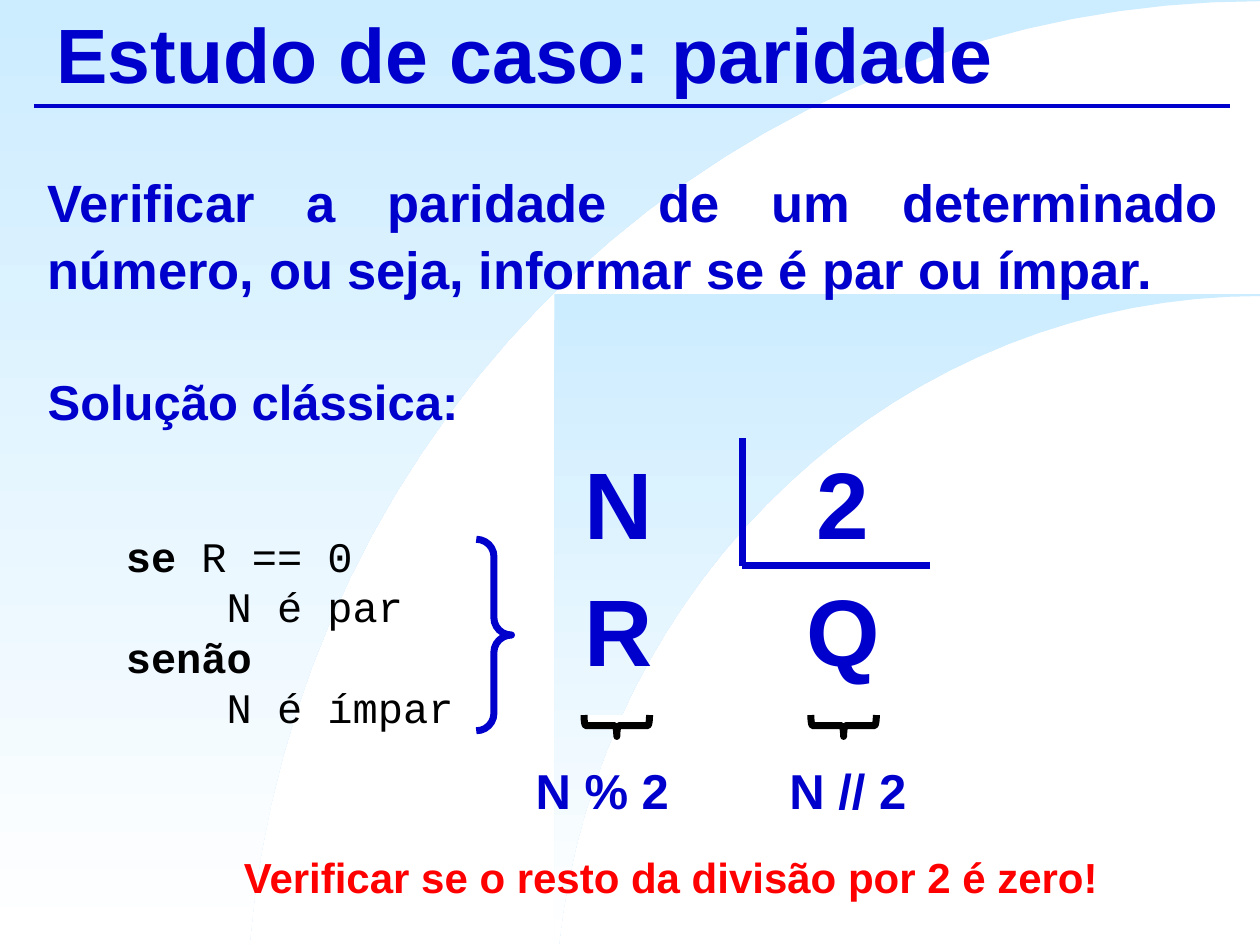
from math import asin, cos, pi, sin
from lxml.etree import SubElement
from pptx import Presentation
from pptx.dml.color import RGBColor
from pptx.enum.shapes import MSO_CONNECTOR as Link, MSO_SHAPE as Shape
from pptx.enum.text import MSO_ANCHOR as Anchor, PP_ALIGN as Align
from pptx.oxml.ns import qn
from pptx.util import Inches, Pt

HUES = {"blue": "0000CC", "red": "FF0000", "black": "000000",
        "white": "FFFFFF", "sky": "CCECFF"}
WIDE, HIGH = 10, 7.5

TITLE = "Estudo de caso: paridade"
TASK = "Verificar a paridade de um determinado número, ou seja, informar se é par ou ímpar."
SOLVE = "Solução clássica:"
HINT = "Verificar se o resto da divisão por 2 é zero!"
CODE = [
    [("se ", True), ("R == 0", False)],
    [("    N é par", False)],
    [("senão", True)],
    [("    N é ímpar", False)],
]
TERMS = [
    ("N", 4.91, 3.48, 54), ("2", 6.69, 3.48, 54),
    ("R", 4.91, 4.49, 54), ("Q", 6.69, 4.49, 54),
    ("N % 2", 4.78, 5.99, 28), ("N // 2", 6.73, 5.99, 28),
]
RULES = [
    ((0.27, 0.84), (9.76, 0.84), 2.25),
    ((5.89, 3.48), (5.89, 4.49), 4),
    ((5.89, 4.49), (7.38, 4.49), 4),
]
BRACES = [
    ((6.61, 5.5, 0.17, 0.52), 90, "white", "black"),
    ((4.81, 5.5, 0.17, 0.52), 90, "white", "black"),
    ((3.78, 4.28, 0.28, 1.52), 0, None, "blue"),
]
ARCS = [(0, 0, 8.05, 8.2, 8.21), (4.4, 2.33, 5.6, 5.8, 8.15)]
STEPS = 32

deck = Presentation()
deck.slide_width, deck.slide_height = Inches(WIDE), Inches(HIGH)
slide = deck.slides.add_slide(deck.slide_layouts[6])
shapes = slide.shapes


def hue(name):
    return RGBColor.from_string(HUES[name])


def add_arc(left, top, rx, ry, mid):
    low = asin((mid - HIGH) / ry)
    turns = [low + (pi / 2 - low) * i / STEPS for i in range(STEPS + 1)]
    curve = [(WIDE - rx * cos(t), mid - ry * sin(t)) for t in turns]
    pen = shapes.build_freeform(*map(Inches, curve[0]), scale=1.0)
    rest = curve[1:] + [(WIDE, top), (left, top), (left, HIGH)]
    pen.add_line_segments([(Inches(x), Inches(y)) for x, y in rest], close=True)
    area = pen.convert_to_shape()
    area.shadow.inherit = False
    area.line.fill.background()
    area.fill.gradient()
    area.fill.gradient_angle = 270
    for stop, name in zip(area.fill.gradient_stops, ("sky", "white")):
        stop.color.rgb = hue(name)
        stop.position = 0 if name == "sky" else 1


def add_rule(start, end, width):
    rule = shapes.add_connector(Link.STRAIGHT, *map(Inches, start + end))
    rule.line.color.rgb = hue("blue")
    rule.line.width = Pt(width)
    SubElement(rule._element.spPr, qn("a:effectLst"))


def add_brace(box, turn, fill, line):
    brace = shapes.add_shape(Shape.RIGHT_BRACE, *map(Inches, box))
    brace.rotation = turn
    brace.shadow.inherit = False
    if fill:
        brace.fill.solid()
        brace.fill.fore_color.rgb = hue(fill)
    else:
        brace.fill.background()
        brace.adjustments[0] = 0.49
        brace.adjustments[1] = 0.5
    brace.line.color.rgb = hue(line)
    brace.line.width = Pt(4)


def add_text(box, lines, size, color="blue", face="Arial",
             align=Align.LEFT, anchor=Anchor.TOP, wrap=True):
    frame = shapes.add_textbox(*map(Inches, box)).text_frame
    frame.word_wrap = wrap
    frame.vertical_anchor = anchor
    for i, line in enumerate(lines):
        para = frame.add_paragraph() if i else frame.paragraphs[0]
        para.alignment = align
        for words, bold in line:
            run = para.add_run()
            run.text = words
            font = run.font
            font.name, font.size, font.bold = face, Pt(size), bold
            font.color.rgb = hue(color)
    return frame


for arc in ARCS:
    add_arc(*arc)
for rule in RULES:
    add_rule(*rule)
for brace in BRACES:
    add_brace(*brace)

add_text((0.35, 0, 9.42, 0.83), [[(TITLE, True)]], 44, anchor=Anchor.MIDDLE)
body = add_text((0.28, 0.99, 9.49, 2.76), [[(TASK, True)], [(SOLVE, True)]], 30,
                align=Align.JUSTIFY, anchor=Anchor.MIDDLE)
for para in body.paragraphs:
    para.line_spacing = 1.06
para.space_before = Pt(39)
para.runs[0].font.size = Pt(28)

add_text((1.82, 6.71, 7.01, 0.5), [[(HINT, True)]], 24, "red", align=Align.CENTER)
for word, mid, top, size in TERMS:
    wide, high = (0.8, 1.01) if size == 54 else (1.27, 0.57)
    add_text((mid - wide / 2, top, wide, high), [[(word, True)]], size,
             align=Align.CENTER, wrap=False)
add_text((0.9, 4.16, 2.88, 1.72), CODE, 24, "black", "Courier New")

deck.save("out.pptx")
